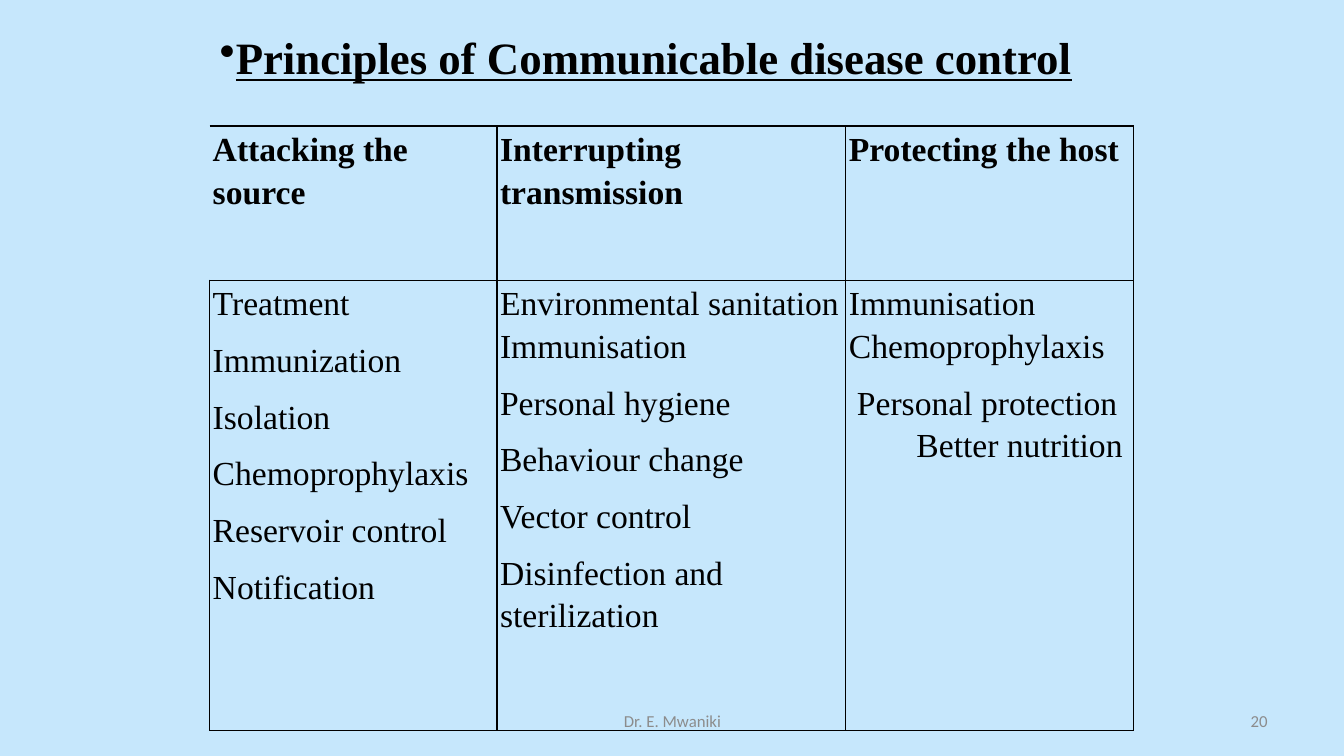
"""Build a slide on the principles of communicable disease control."""
import lxml.etree
import pptx
import pptx.dml.color
import pptx.enum.text
import pptx.oxml.ns
import pptx.util

Inches = pptx.util.Inches
Pt = pptx.util.Pt
RGBColor = pptx.dml.color.RGBColor
qn = pptx.oxml.ns.qn
Align = pptx.enum.text.PP_ALIGN
Anchor = pptx.enum.text.MSO_ANCHOR

SKY = RGBColor(0xC6, 0xE7, 0xFC)
BLACK = RGBColor(0, 0, 0)
GREY = RGBColor(0x8C, 0x8C, 0x8C)
SERIF = "Times New Roman"

COLUMN_WIDTHS = (2.85, 3.46, 2.85)
ROW_HEIGHTS = (1.53, 4.47)
HEADINGS = ("Attacking the source", "Interrupting transmission", "Protecting the host")
MEASURES = (
    ("Treatment", "Immunization", "Isolation", "Chemoprophylaxis",
     "Reservoir control", "Notification"),
    ("Environmental sanitation Immunisation", "Personal hygiene", "Behaviour change",
     "Vector control", "Disinfection and sterilization"),
    ("Immunisation Chemoprophylaxis", "Personal protection", "Better nutrition"),
)
INDENTS = {"Personal protection": 0.08, "Better nutrition": 0.67}


def style_font(font, name, size, color, bold=False):
    """Set the face, size, colour and weight of a font."""
    font.name = name
    font.size = Pt(size)
    font.color.rgb = color
    font.bold = bold


def add_text(slide, box, text, alignment, anchor=Anchor.TOP):
    """Add a one-paragraph text box and return its paragraph."""
    frame = slide.shapes.add_textbox(*map(Inches, box)).text_frame
    frame.word_wrap = True
    frame.vertical_anchor = anchor
    paragraph = frame.paragraphs[0]
    paragraph.text = text
    paragraph.alignment = alignment
    return paragraph


def add_title(slide, box):
    """Add the bulleted, underlined title."""
    paragraph = add_text(slide, box, "Principles of Communicable disease control", Align.JUSTIFY)
    properties = paragraph._p.get_or_add_pPr()
    properties.set("marL", str(Inches(0.16)))
    properties.set("indent", str(Inches(-0.16)))
    lxml.etree.SubElement(properties, qn("a:buChar")).set("char", "•")
    style_font(paragraph.font, SERIF, 32, BLACK, bold=True)
    paragraph.font.underline = True


def add_footer(slide, box, text, alignment):
    """Add a small grey footer text."""
    paragraph = add_text(slide, box, text, alignment, Anchor.MIDDLE)
    style_font(paragraph.font, "Calibri", 12, GREY)


def draw_borders(cell, hidden=()):
    """Draw thin black cell borders, leaving out the hidden sides."""
    properties = cell._tc.get_or_add_tcPr()
    for side in ("lnL", "lnR", "lnT", "lnB"):
        line = lxml.etree.SubElement(properties, qn(f"a:{side}"), w=str(Pt(1)))
        if side in hidden:
            lxml.etree.SubElement(line, qn("a:noFill"))
        else:
            fill = lxml.etree.SubElement(line, qn("a:solidFill"))
            lxml.etree.SubElement(fill, qn("a:srgbClr"), val=str(BLACK))


def fill_cell(cell, lines, bold):
    """Write one paragraph per line into a cell."""
    cell.margin_left = cell.margin_right = Inches(0.03)
    cell.margin_top = cell.margin_bottom = 0
    cell.fill.background()
    frame = cell.text_frame
    frame.text = "\n".join(lines)
    for paragraph in frame.paragraphs:
        paragraph.line_spacing = 1.15
        paragraph.space_after = Pt(0 if paragraph.text == "Personal protection" else 10)
        indent = INDENTS.get(paragraph.text, 0)
        paragraph._p.get_or_add_pPr().set("marL", str(Inches(indent)))
        style_font(paragraph.font, SERIF, 24, BLACK, bold)


def add_control_table(slide, left, top):
    """Add the table of control principles and their measures."""
    size = (sum(COLUMN_WIDTHS), sum(ROW_HEIGHTS))
    frame = slide.shapes.add_table(2, 3, *map(Inches, (left, top, *size)))
    table = frame.table
    table.first_row = table.horz_banding = False
    for row, height in zip(table.rows, ROW_HEIGHTS):
        row.height = Inches(height)
    for index, width in enumerate(COLUMN_WIDTHS):
        table.columns[index].width = Inches(width)
        heading, measures = table.cell(0, index), table.cell(1, index)
        draw_borders(heading, hidden=("lnL",) if index == 0 else ())
        draw_borders(measures)
        fill_cell(heading, [HEADINGS[index]], bold=True)
        fill_cell(measures, MEASURES[index], bold=False)


def main():
    """Build and save the presentation."""
    presentation = pptx.Presentation()
    presentation.slide_width = Inches(13.33)
    presentation.slide_height = Inches(7.5)
    slide = presentation.slides.add_slide(presentation.slide_layouts[6])
    slide.background.fill.solid()
    slide.background.fill.fore_color.rgb = SKY
    add_title(slide, (2.08, 0.25, 9.42, 6.75))
    add_footer(slide, (4.56, 6.95, 4.22, 0.4), "Dr. E. Mwaniki", Align.CENTER)
    add_footer(slide, (9.56, 6.95, 3.11, 0.4), "20", Align.RIGHT)
    add_control_table(slide, 2.08, 1.25)
    presentation.save("out.pptx")


if __name__ == "__main__":
    main()
